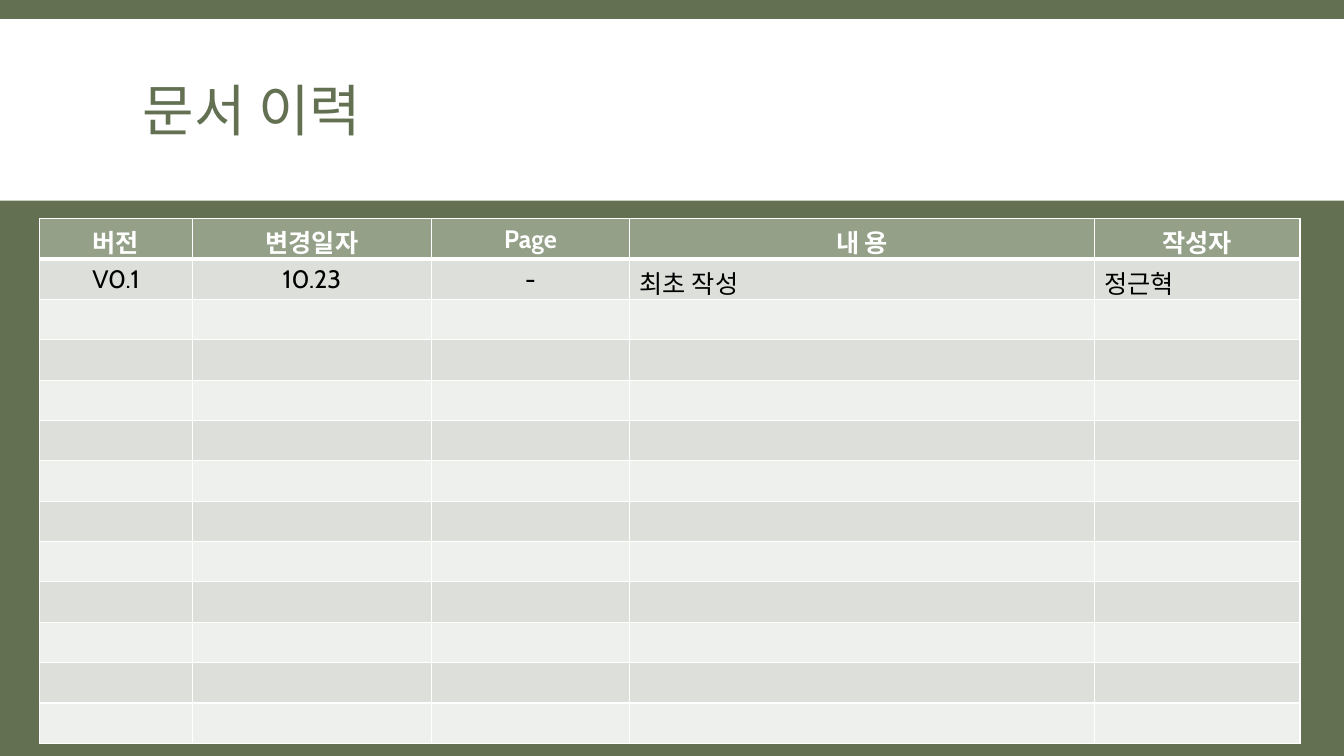
from lxml import etree
from pptx import Presentation
from pptx.dml.color import RGBColor
from pptx.enum.shapes import MSO_SHAPE
from pptx.enum.text import MSO_ANCHOR, PP_ALIGN
from pptx.oxml.ns import qn
from pptx.util import Cm, Pt

RECT = MSO_SHAPE.RECTANGLE
MIDDLE = MSO_ANCHOR.MIDDLE
LEFT, CENTER = PP_ALIGN.LEFT, PP_ALIGN.CENTER

FONT = "Cabin"
GREEN, SAGE, WHITE, BLACK = "637052", "94A088", "FFFFFF", "000000"
BANDS = ("DCDFDA", "EEF0ED")
WIDE, HIGH = 33.87, 19.05

HEADS = ["버전", "변경일자", "Page", "내 용", "작성자"]
FIRST = ["V0.1", "10.23", "-", "최초 작성", "정근혁"]
ALIGNS = [CENTER, CENTER, CENTER, LEFT, LEFT]
COLS = [3.86, 6.02, 5, 11.71, 5.18]
ROWS, ROW_H = 13, 0.94


def color(code):
    return RGBColor.from_string(code)


def style(para, size, code, bold=False):
    for run in para.runs:
        run.font.name = FONT
        run.font.size = Pt(size)
        run.font.bold = bold
        run.font.color.rgb = color(code)


def border(cell, widths):
    props = cell._tc.get_or_add_tcPr()
    for i, (side, width) in enumerate(widths.items()):
        line = etree.Element(qn("a:ln" + side), w=str(Pt(width)))
        fill = etree.SubElement(line, qn("a:solidFill"))
        etree.SubElement(fill, qn("a:srgbClr"), val=WHITE)
        props.insert(i, line)


def banner(slide, x, y, w, h):
    # White band
    band = slide.shapes.add_shape(RECT, Cm(x), Cm(y), Cm(w), Cm(h))
    band.shadow.inherit = False
    band.fill.solid()
    band.fill.fore_color.rgb = color(WHITE)
    band.line.fill.background()

    # Title
    box = slide.shapes.add_textbox(Cm(x + 3.35), Cm(y + 0.3), Cm(w - 6.69), Cm(h - 0.38))
    frame = box.text_frame
    frame.word_wrap = True
    frame.vertical_anchor = MIDDLE
    frame.text = "문서 이력"
    para = frame.paragraphs[0]
    para.line_spacing = 0.85
    style(para, 40, GREEN)


def history(slide, x, y, w, h):
    table = slide.shapes.add_table(ROWS, len(COLS), Cm(x), Cm(y), Cm(w), Cm(h)).table
    for col, width in zip(table.columns, COLS):
        col.width = Cm(width)

    texts = {0: HEADS, 1: FIRST}
    for r, row in enumerate(table.rows):
        row.height = Cm(ROW_H)
        head = r == 0
        for c, cell in enumerate(row.cells):
            # Fill and borders
            cell.fill.solid()
            cell.fill.fore_color.rgb = color(SAGE if head else BANDS[(r - 1) % 2])
            border(cell, {"L": 1, "R": 1, "T": 3 if r == 1 else 1, "B": 3 if head else 1})

            # Text
            if r in texts:
                cell.text_frame.text = texts[r][c]
                para = cell.text_frame.paragraphs[0]
                para.alignment = CENTER if head else ALIGNS[c]
                style(para, 18, WHITE if head else BLACK, head)
    table.cell(0, 3).vertical_anchor = MIDDLE


def main():
    deck = Presentation()
    deck.slide_width, deck.slide_height = Cm(WIDE), Cm(HIGH)
    slide = deck.slides.add_slide(deck.slide_layouts[6])
    slide.background.fill.solid()
    slide.background.fill.fore_color.rgb = color(GREEN)
    banner(slide, 0, 0.48, WIDE, 4.58)
    history(slide, 0.99, 5.51, sum(COLS), ROWS * ROW_H)
    deck.save("out.pptx")


if __name__ == "__main__":
    main()
